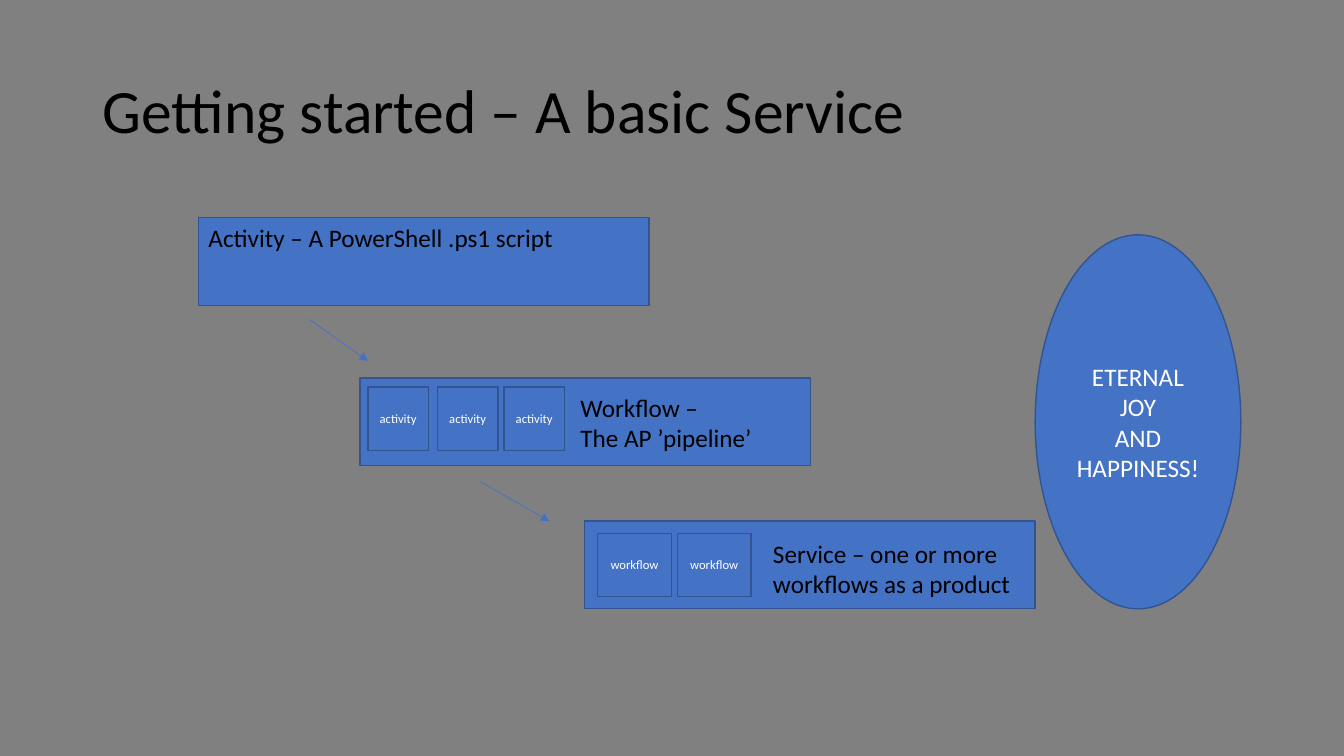
"""Build the slide that shows how activities and workflows form a basic service."""
from pptx import Presentation
from pptx.dml.color import RGBColor
from pptx.enum.shapes import MSO_CONNECTOR as Connector, MSO_SHAPE as Shape
from pptx.enum.text import MSO_ANCHOR as Anchor, PP_ALIGN as Align
from pptx.oxml.ns import qn
from pptx.util import Pt
from lxml.etree import SubElement

TITLE = "Getting started – A basic Service"
STAGES = [
    {"corner": (141.84, 155.52), "caption": ["Activity – A PowerShell .ps1 script"],
     "caption_area": (0, 0, 321.84, 28.8),
     "part": "", "part_lefts": [], "part_top": 0, "part_width": 0},
    {"corner": (257.04, 270), "caption": ["Workflow –", "The AP ’pipeline’"],
     "caption_area": (150.48, 6.48, 164.88, 51.12),
     "part": "activity", "part_lefts": [5.76, 55.44, 102.96], "part_top": 6.48, "part_width": 43.2},
    {"corner": (417.6, 372.24), "caption": ["Service – one or more workflows as a product"],
     "caption_area": (127.44, 8.64, 185.76, 51.12),
     "part": "workflow", "part_lefts": [9.36, 66.24], "part_top": 8.64, "part_width": 52.56},
]
ARROWS = [(221.04, 228.24, 262.8, 257.76), (343.44, 344.16, 392.4, 372.24)]
OUTCOME = ["ETERNAL", "JOY", "AND", "HAPPINESS!"]

TITLE_AREA = (66.24, 28.8, 828, 104.4)
OUTCOME_AREA = (739.44, 167.76, 146.88, 267.12)
STAGE_SIZE = (321.84, 62.64)
PART_HEIGHT = 45.36

THEME = {
    "font": "Calibri",
    "background": RGBColor(0x80, 0x80, 0x80),
    "fill": RGBColor(0x44, 0x72, 0xC4),
    "outline": RGBColor(0x32, 0x54, 0x91),
    "dark": RGBColor(0, 0, 0),
    "light": RGBColor(0xFF, 0xFF, 0xFF),
    "title": 44, "body": 18, "part": 9,
}


def write(holder, lines, size, color, align=Align.LEFT, anchor=Anchor.TOP, spacing=1.0):
    """Fill a shape with one paragraph for each line."""
    frame = holder.text_frame
    frame.word_wrap = True
    frame.vertical_anchor = anchor
    frame.text = "\n".join(lines)
    for paragraph in frame.paragraphs:
        paragraph.alignment = align
        paragraph.line_spacing = spacing
        paragraph.font.name = THEME["font"]
        paragraph.font.size = Pt(THEME[size])
        paragraph.font.color.rgb = THEME[color]


def add_block(slide, kind, area, lines=(), size="body"):
    """Add a filled, outlined shape with centred light text."""
    block = slide.shapes.add_shape(kind, *map(Pt, area))
    block.shadow.inherit = False
    block.fill.solid()
    block.fill.fore_color.rgb = THEME["fill"]
    block.line.color.rgb = THEME["outline"]
    block.line.width = Pt(1)
    if lines:
        write(block, lines, size, "light", Align.CENTER, Anchor.MIDDLE)


def add_label(slide, area, lines, size, **layout):
    """Add a dark text box."""
    write(slide.shapes.add_textbox(*map(Pt, area)), lines, size, "dark", **layout)


def add_arrow(slide, ends):
    """Add a thin arrow that points at its second end."""
    arrow = slide.shapes.add_connector(Connector.STRAIGHT, *map(Pt, ends))
    arrow.line.color.rgb = THEME["fill"]
    arrow.line.width = Pt(0.5)
    properties = arrow.line.fill._xPr
    SubElement(properties, qn("a:tailEnd"), type="triangle")
    SubElement(properties.getparent(), qn("a:effectLst"))


def add_stage(slide, stage):
    """Add a stage bar with its parts and caption."""
    left, top = stage["corner"]
    add_block(slide, Shape.RECTANGLE, (left, top, *STAGE_SIZE))
    for offset in stage["part_lefts"]:
        area = (left + offset, top + stage["part_top"], stage["part_width"], PART_HEIGHT)
        add_block(slide, Shape.RECTANGLE, area, [stage["part"]], "part")
    dx, dy, width, height = stage["caption_area"]
    add_label(slide, (left + dx, top + dy, width, height), stage["caption"], "body")


def main():
    """Build and save the slide."""
    deck = Presentation()
    deck.slide_width, deck.slide_height = Pt(960), Pt(540)
    slide = deck.slides.add_slide(deck.slide_layouts[6])
    slide.background.fill.solid()
    slide.background.fill.fore_color.rgb = THEME["background"]

    add_label(slide, TITLE_AREA, [TITLE], "title", anchor=Anchor.MIDDLE, spacing=0.9)
    for stage in STAGES:
        add_stage(slide, stage)
    for ends in ARROWS:
        add_arrow(slide, ends)
    add_block(slide, Shape.OVAL, OUTCOME_AREA, OUTCOME)
    deck.save("out.pptx")


if __name__ == "__main__":
    main()
